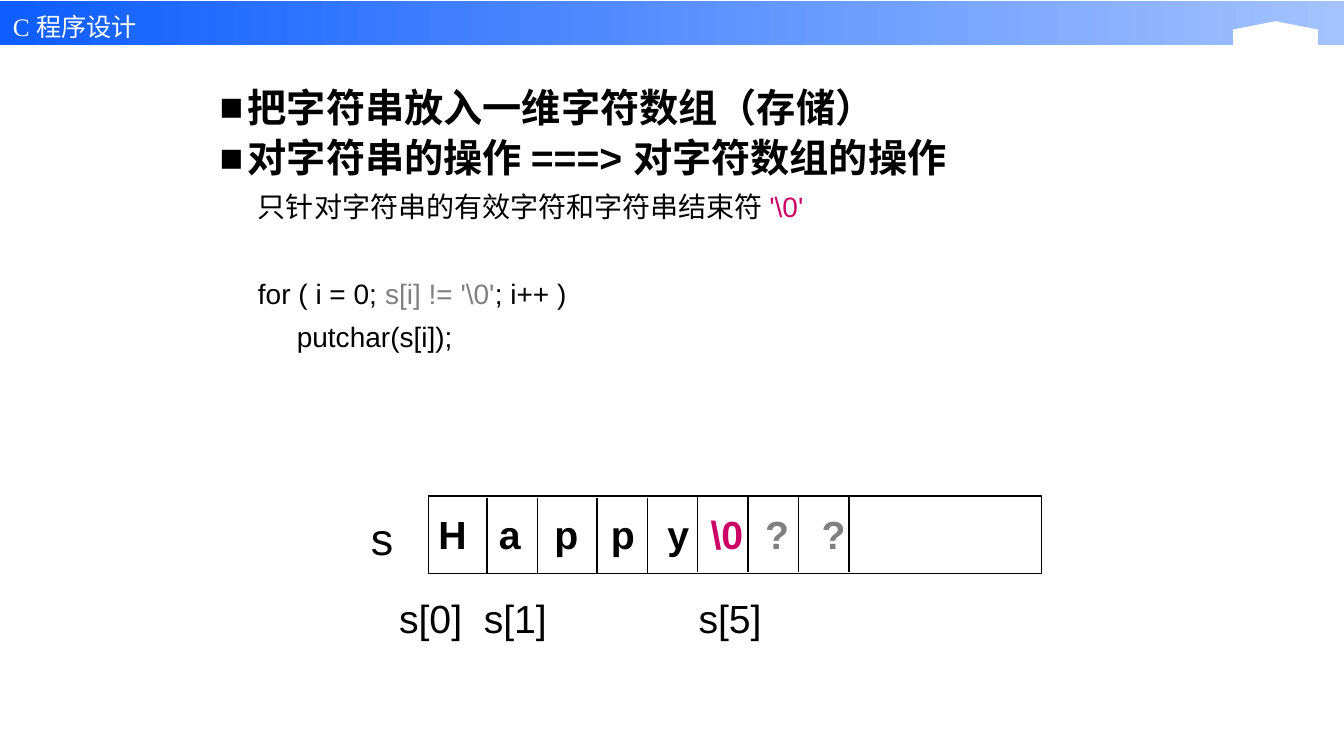
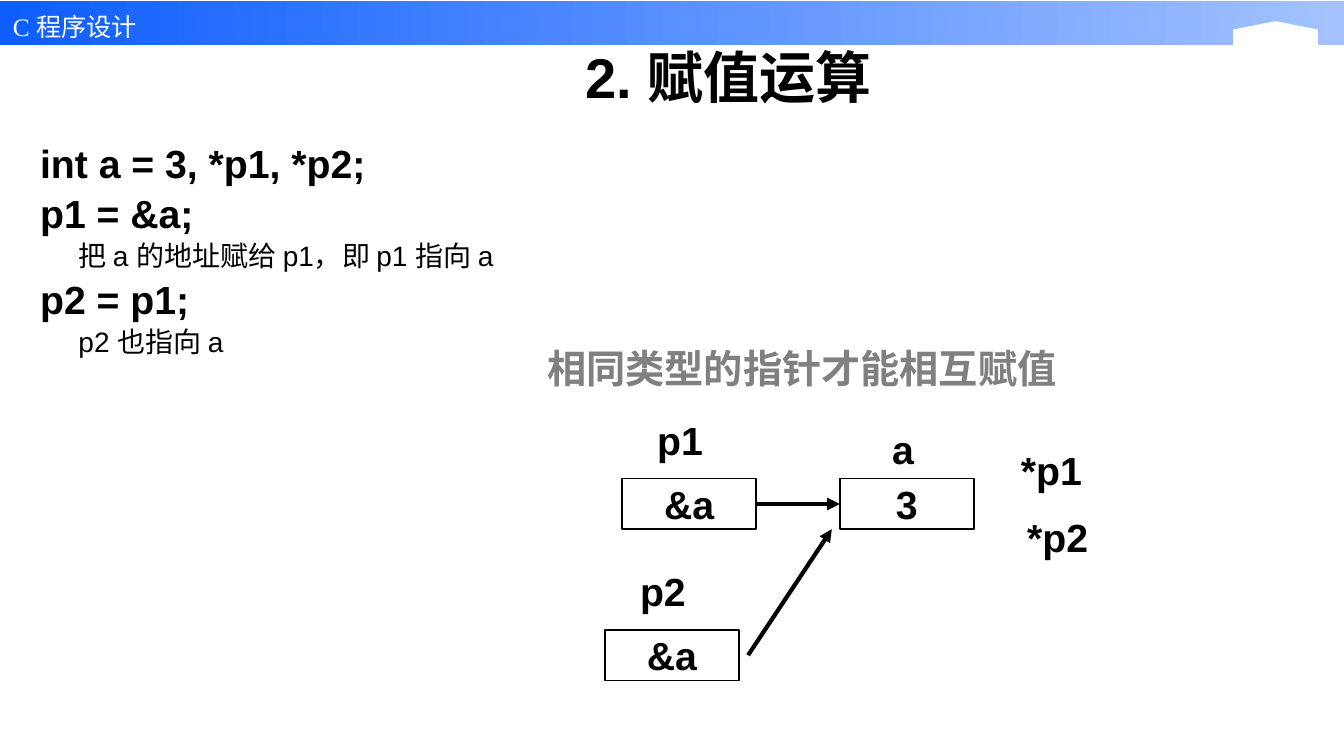
"""Build two C programming slides: string storage and pointer assignment."""
import dataclasses
import typing

import lxml.etree
import pptx
import pptx.dml.color
import pptx.enum.shapes
import pptx.enum.text
import pptx.oxml.ns
import pptx.util

Inches = pptx.util.Inches
Pt = pptx.util.Pt
RGBColor = pptx.dml.color.RGBColor
Align = pptx.enum.text.PP_ALIGN
Anchor = pptx.enum.text.MSO_ANCHOR
Preset = pptx.enum.shapes.MSO_SHAPE
qn = pptx.oxml.ns.qn

BLACK = RGBColor(0x00, 0x00, 0x00)
WHITE = RGBColor(0xFF, 0xFF, 0xFF)
GRAY = RGBColor(0x80, 0x80, 0x80)
MAGENTA = RGBColor(0xCC, 0x00, 0x66)
BAND_START = RGBColor(0x0D, 0x5D, 0xFF)
BAND_END = RGBColor(0xA3, 0xC2, 0xFF)

BODY = {"name": "Arial", "size": Pt(28), "bold": True}
DETAIL = {"name": "Arial", "size": Pt(20), "bold": False}
PLAIN = {**BODY, "bold": False}
TITLE = {**BODY, "size": Pt(40)}
HEADER = {"name": "Times New Roman", "size": Pt(18)}


@dataclasses.dataclass(frozen=True)
class Span:
    """A stretch of text in one format."""

    text: str
    style: dict[str, typing.Any] = dataclasses.field(default_factory=lambda: BODY)
    color: RGBColor = BLACK


@dataclasses.dataclass(frozen=True)
class Para:
    """A paragraph with its spacing, indents and bullet."""

    spans: tuple[Span, ...]
    format: dict[str, typing.Any] = dataclasses.field(default_factory=dict)
    margin: float = 0
    hanging: float = 0
    bullet: str = ""


@dataclasses.dataclass(frozen=True)
class Area:
    """A rectangle in inches."""

    left: float
    top: float
    width: float
    height: float

    def lengths(self) -> tuple[int, ...]:
        """Return the rectangle as lengths."""
        return tuple(Inches(value) for value in dataclasses.astuple(self))


@dataclasses.dataclass(frozen=True)
class Mark:
    """A short text in the array drawing and its left edge in inches."""

    left: float
    span: Span


@dataclasses.dataclass(frozen=True)
class Variable:
    """A memory box with its name above it."""

    name: str
    value: str
    area: Area
    label: Area


def apply(target: typing.Any, values: dict[str, typing.Any]) -> None:
    """Set every attribute in values on target."""
    for name, value in values.items():
        setattr(target, name, value)


def write(frame: typing.Any, paras: typing.Sequence[Para], **frame_format: typing.Any) -> None:
    """Fill a text frame with paragraphs."""
    apply(frame, {"word_wrap": True, **frame_format})
    for index, item in enumerate(paras):
        para = frame.add_paragraph() if index else frame.paragraphs[0]
        apply(para, item.format)
        properties = para._p.get_or_add_pPr()
        properties.set("marL", str(Inches(item.margin)))
        properties.set("indent", str(Inches(-item.hanging)))
        if item.bullet:
            lxml.etree.SubElement(properties, qn("a:buFont"), typeface="Arial")
            lxml.etree.SubElement(properties, qn("a:buChar"), char=item.bullet)
        for part in item.spans:
            span = para.add_run()
            span.text = part.text
            apply(span.font, part.style)
            span.font.color.rgb = part.color


def add_text(page: typing.Any, area: Area, *paras: Para, **frame_format: typing.Any) -> None:
    """Add a text box."""
    write(page.shapes.add_textbox(*area.lengths()).text_frame, paras, **frame_format)


def add_box(page: typing.Any, area: Area, preset: Preset = Preset.RECTANGLE) -> typing.Any:
    """Add a shape without shadow, fill or line."""
    box = page.shapes.add_shape(preset, *area.lengths())
    box.shadow.inherit = False
    box.fill.background()
    box.line.fill.background()
    return box


def outline(box: typing.Any) -> None:
    """Give a shape a thin black outline."""
    box.line.color.rgb = BLACK
    box.line.width = Pt(1)


def add_line(page: typing.Any, start: tuple[float, float], end: tuple[float, float],
             width: float = 1, arrow: bool = False) -> None:
    """Add a straight black line, with an arrowhead if asked."""
    points = [Inches(value) for value in (*start, *end)]
    line = page.shapes.add_connector(pptx.enum.shapes.MSO_CONNECTOR.STRAIGHT, *points)
    line.line.color.rgb = BLACK
    line.line.width = Pt(width)
    if arrow:
        lxml.etree.SubElement(line.line._get_or_add_ln(), qn("a:tailEnd"), type="triangle")
    lxml.etree.SubElement(line._element.spPr, qn("a:effectLst"))


def add_page(deck: typing.Any, layout: int) -> typing.Any:
    """Add a slide with the course band."""
    page = deck.slides.add_slide(deck.slide_layouts[layout])
    band = add_box(page, Area(0, 0.01, 13.33, 0.44))
    band.fill.gradient()
    band.fill.gradient_angle = 0
    for stop, color in zip(band.fill.gradient_stops, (BAND_START, BAND_END)):
        stop.color.rgb = color
    notch = add_box(page, Area(12.23, 0.21, 0.84, 0.41), Preset.FLOWCHART_OFFPAGE_CONNECTOR)
    notch.rotation = 180
    notch.fill.solid()
    notch.fill.fore_color.rgb = WHITE
    add_text(page, Area(0.03, 0, 4.64, 0.43),
             Para((Span("C 程序设计", HEADER, WHITE),), {"line_spacing": 1.2}))
    return page


def heading(text: str, before: float = 5.6, spacing: float = 0.9, bullet: str = "") -> Para:
    """Return a bold first-level paragraph."""
    return Para((Span(text),), {"line_spacing": spacing, "space_before": Pt(before)},
                0.28, 0.28, bullet)


def detail(*spans: Span, before: float = 4, spacing: float = 0.9) -> Para:
    """Return a second-level paragraph."""
    return Para(spans, {"line_spacing": spacing, "space_before": Pt(before)}, 0.61, 0.23)


def build_storage(deck: typing.Any) -> None:
    """Draw the slide on storing a string in an array."""
    page = add_page(deck, 6)
    add_text(
        page, Area(2.08, 0.83, 9.08, 3.82),
        heading("把字符串放入一维字符数组（存储）", 0, bullet="■"),
        heading("对字符串的操作 ===> 对字符数组的操作", bullet="■"),
        detail(Span("只针对字符串的有效字符和字符串结束符 ", DETAIL),
               Span("'\\0'", DETAIL, MAGENTA), before=3.5, spacing=1.1),
        detail(Span("for ( i = 0; ", DETAIL), Span("s[i] != '\\0'", DETAIL, GRAY),
               Span("; i++ )", DETAIL), before=36, spacing=1.1),
        detail(Span("     putchar(s[i]);", DETAIL), spacing=1.1),
    )
    outline(add_box(page, Area(4.25, 4.92, 6.08, 0.77)))
    for index, left in enumerate((4.83, 5.33, 5.92, 6.42, 6.92, 7.42, 7.92, 8.42)):
        top = 4.94 if index < 4 else 4.92
        add_line(page, (left, top), (left, top + 0.75))
    add_text(page, Area(3.58, 5.02, 0.58, 0.64), Para((Span("s", {**PLAIN, "size": Pt(32)}),)))
    letters = (
        Mark(4.25, Span("H")), Mark(4.85, Span("a")), Mark(5.4, Span("p")),
        Mark(5.96, Span("p")), Mark(6.52, Span("y")), Mark(6.95, Span("\\0", color=MAGENTA)),
        Mark(7.49, Span("?", color=GRAY)), Mark(8.05, Span("?", color=GRAY)),
    )
    indexes = (Mark(3.86, Span("s[0]", PLAIN)), Mark(4.7, Span("s[1]", PLAIN)),
               Mark(6.83, Span("s[5]", PLAIN)))
    for top, width, marks in ((5.01, 0.7, letters), (5.85, 1, indexes)):
        for mark in marks:
            add_text(page, Area(mark.left, top, width, 0.56), Para((mark.span,)))


def build_assignment(deck: typing.Any) -> None:
    """Draw the slide on assigning pointers."""
    page = add_page(deck, 5)
    title = page.shapes.title
    apply(title, dict(zip(("left", "top", "width", "height"),
                          Area(4.81, 0.39, 4.83, 0.75).lengths())))
    write(title.text_frame, [Para((Span("2. 赋值运算", TITLE),), {"alignment": Align.CENTER})],
          vertical_anchor=Anchor.BOTTOM, auto_size=pptx.enum.text.MSO_AUTO_SIZE.NONE)
    add_text(
        page, Area(0.3, 1.24, 8.43, 3.12),
        heading("int a = 3, *p1, *p2;", 0, 1.2),
        heading("p1 = &a;"),
        detail(Span("把 a 的地址赋给 p1，即 p1 指向 a", DETAIL)),
        heading("p2 = p1;"),
        detail(Span("p2 也指向 a", DETAIL)),
    )
    add_text(page, Area(5.33, 3.42, 5.28, 0.52),
             Para((Span("相同类型的指针才能相互赋值", color=GRAY),),
                  {"alignment": Align.JUSTIFY, "line_spacing": 0.9}), word_wrap=False)
    centered = {"alignment": Align.CENTER}
    variables = (
        Variable("a", "3", Area(8.33, 4.75, 1.33, 0.5), Area(8.75, 4.17, 0.42, 0.57)),
        Variable("p1", "&a", Area(6.17, 4.75, 1.33, 0.5), Area(6.42, 4.08, 0.66, 0.57)),
        Variable("p2", "&a", Area(6, 6.25, 1.33, 0.5), Area(6.25, 5.58, 0.66, 0.57)),
    )
    for variable in variables:
        box = add_box(page, variable.area)
        outline(box)
        write(box.text_frame, [Para((Span(variable.value),), centered)],
              word_wrap=False, vertical_anchor=Anchor.MIDDLE)
        add_text(page, variable.label, Para((Span(variable.name),)), word_wrap=False)
    for start, end in (((7.5, 5), (8.33, 5)), ((7.42, 6.5), (8.25, 5.25))):
        add_line(page, start, end, 3, True)
    add_text(page, Area(10.02, 4.29, 0.94, 1.35),
             Para((Span("*p1"), Span(" ", {**BODY, "size": Pt(32)})), centered),
             Para((Span("*p2"),), {**centered, "space_before": Pt(14)}),
             word_wrap=False, vertical_anchor=Anchor.MIDDLE)


def main() -> None:
    """Build and save the deck."""
    deck = pptx.Presentation()
    deck.slide_width, deck.slide_height = Inches(13.33), Inches(7.5)
    build_storage(deck)
    build_assignment(deck)
    deck.save("out.pptx")


if __name__ == "__main__":
    main()
